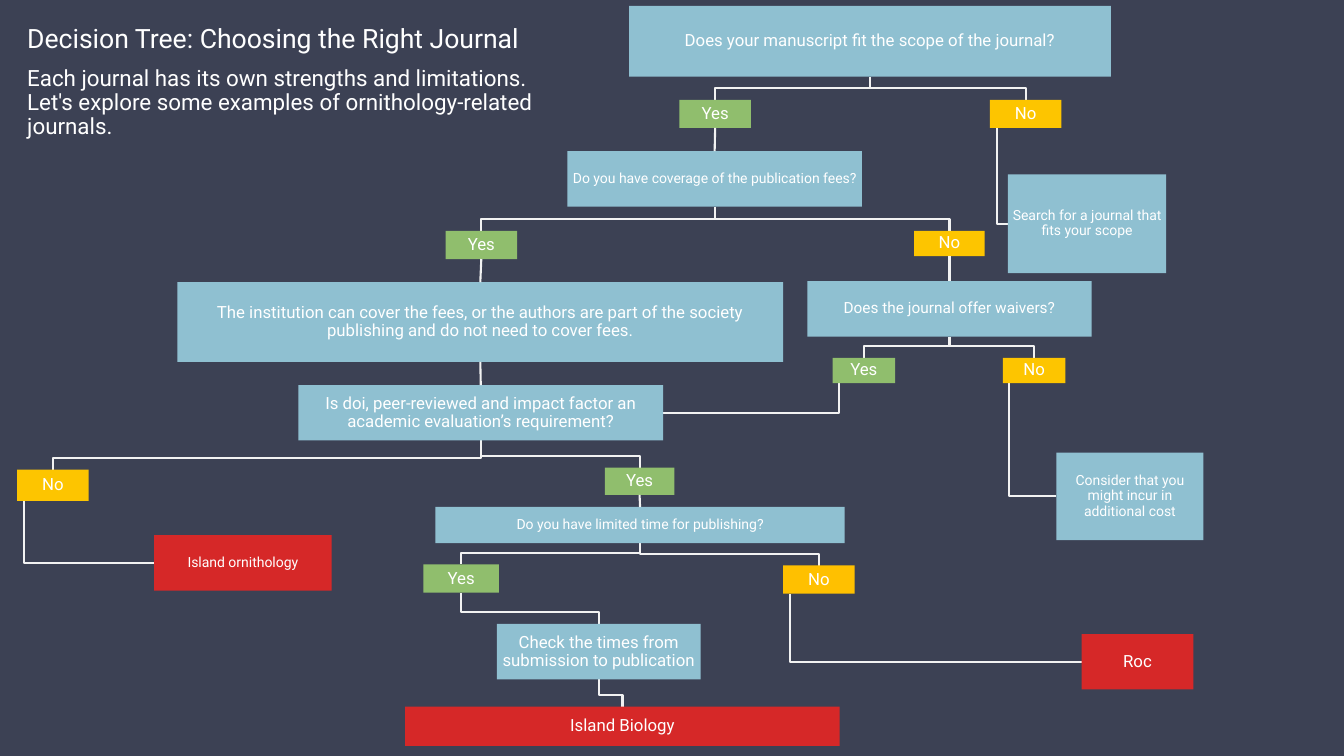
"""Build a decision tree slide for choosing an ornithology journal."""
from dataclasses import dataclass

import lxml.etree
import pptx
import pptx.dml.color
import pptx.enum.shapes
import pptx.enum.text
import pptx.oxml.ns
import pptx.util

COLORS = {
    "background": "3C4154",
    "step": "8FC0D1",
    "yes": "90BE6D",
    "no": "FDC500",
    "late_no": "FFC000",
    "journal": "D62828",
    "link": "F2F2F2",
    "text": "FFFFFF",
}
FONT = "Roboto"
SLIDE_WIDTH = pptx.util.Emu(12192000)
SLIDE_HEIGHT = pptx.util.Emu(6858000)
COLUMNS, ROWS = 80, 45
BRANCH_GAP = 0.7
HOOK_SHARE = 0.1
BOTTOM, TOP = 2, 0


@dataclass(frozen=True)
class Node:
    """A box of the tree, placed in grid columns and rows."""
    text: str
    role: str
    left: float
    top: float
    width: float
    height: float
    size: int = 12

    @property
    def center(self) -> float:
        return self.left + self.width / 2

    @property
    def middle(self) -> float:
        return self.top + self.height / 2

    @property
    def right(self) -> float:
        return self.left + self.width

    @property
    def bottom(self) -> float:
        return self.top + self.height


NODES = {
    "scope": Node("Does your manuscript fit the scope of the journal?",
                  "step", 37.44, 0.36, 28.68, 4.2),
    "scope_yes": Node("Yes", "yes", 40.44, 5.94, 4.26, 1.68),
    "scope_no": Node("No", "no", 58.92, 5.94, 4.26, 1.68),
    "search": Node("Search for a journal that fits your scope",
                   "step", 60, 10.38, 9.42, 5.88, 10),
    "fees": Node("Do you have coverage of the publication fees?",
                 "step", 33.78, 9, 17.52, 3.3, 10),
    "fees_yes": Node("Yes", "yes", 26.52, 13.74, 4.26, 1.68),
    "fees_no": Node("No", "no", 54.42, 13.74, 4.2, 1.5),
    "covered": Node("The institution can cover the fees, or the authors are part of the society "
                    "publishing and do not need to cover fees.",
                    "step", 10.56, 16.8, 36.06, 4.74),
    "waivers": Node("Does the journal offer waivers?", "step", 48.06, 16.74, 16.92, 3.3, 11),
    "waivers_yes": Node("Yes", "yes", 49.56, 21.3, 3.72, 1.5),
    "waivers_no": Node("No", "no", 59.7, 21.3, 3.72, 1.5),
    "cost": Node("Consider that you might incur in additional cost",
                 "step", 62.88, 26.94, 8.76, 5.22, 10),
    "evaluation": Node("Is doi, peer-reviewed and impact factor an academic evaluation’s requirement?",
                       "step", 17.76, 22.92, 21.72, 3.3),
    "evaluation_no": Node("No", "no", 1.02, 27.96, 4.26, 1.86),
    "evaluation_yes": Node("Yes", "yes", 36, 27.84, 4.14, 1.62),
    "seabirds": Node("Island ornithology", "journal", 9.18, 31.86, 10.56, 3.3, 10),
    "time": Node("Do you have limited time for publishing?",
                 "step", 25.92, 30.18, 24.36, 2.16, 10),
    "time_yes": Node("Yes", "yes", 25.2, 33.6, 4.5, 1.68),
    "time_no": Node("No", "late_no", 46.62, 33.66, 4.26, 1.68),
    "check": Node("Check the times from submission to publication",
                  "step", 29.58, 37.14, 12.12, 3.3),
    "slow": Node("Roc", "journal", 64.38, 37.74, 6.66, 3.3),
    "fast": Node("Island Biology", "journal", 24.12, 42.06, 25.86, 2.34),
}
BRANCHES = [
    ("scope", "scope_yes"), ("scope", "scope_no"),
    ("fees", "fees_yes"), ("fees", "fees_no"),
    ("waivers", "waivers_yes"), ("waivers", "waivers_no"),
    ("evaluation", "evaluation_no"), ("evaluation", "evaluation_yes"),
    ("time", "time_yes"), ("time", "time_no"),
    ("time_yes", "check"), ("check", "fast"),
]
HOOKS = [
    ("scope_no", "search"), ("waivers_no", "cost"), ("waivers_yes", "evaluation"),
    ("evaluation_no", "seabirds"), ("time_no", "slow"),
]
DROPS = [
    ("scope_yes", "fees"), ("fees_yes", "covered"), ("fees_no", "waivers"),
    ("covered", "evaluation"), ("evaluation_yes", "time"),
]


def across(columns: float) -> int:
    return round(SLIDE_WIDTH * columns / COLUMNS)


def down(rows: float) -> int:
    return round(SLIDE_HEIGHT * rows / ROWS)


def color(role: str) -> pptx.dml.color.RGBColor:
    return pptx.dml.color.RGBColor.from_string(COLORS[role])


def style_paragraph(paragraph, size: int, alignment) -> None:
    paragraph.alignment = alignment
    paragraph.line_spacing = 0.9
    paragraph.space_before = pptx.util.Pt(0)
    paragraph.font.size = pptx.util.Pt(size)
    paragraph.font.name = FONT
    paragraph.font.color.rgb = color("text")


def style_link(link) -> None:
    link.line.color.rgb = color("link")
    link.line.width = pptx.util.Pt(1.5)


def fill_placeholder(placeholder, text: str, size: int, top: float, height: float) -> None:
    placeholder.left, placeholder.top = across(1.02), down(top)
    placeholder.width, placeholder.height = across(31.62), down(height)
    frame = placeholder.text_frame
    frame.text = text
    frame.word_wrap = True
    frame.auto_size = pptx.enum.text.MSO_AUTO_SIZE.NONE
    frame.vertical_anchor = pptx.enum.text.MSO_ANCHOR.TOP
    paragraph = frame.paragraphs[0]
    properties = paragraph._p.get_or_add_pPr()
    properties.set("marL", "0")
    properties.set("indent", "0")
    lxml.etree.SubElement(properties, pptx.oxml.ns.qn("a:buNone"))
    style_paragraph(paragraph, size, pptx.enum.text.PP_ALIGN.LEFT)


def draw_node(slide, node: Node):
    box = slide.shapes.add_shape(
        pptx.enum.shapes.MSO_SHAPE.RECTANGLE,
        across(node.left), down(node.top), across(node.width), down(node.height))
    box.shadow.inherit = False
    box.fill.solid()
    box.fill.fore_color.rgb = color(node.role)
    box.line.fill.background()
    frame = box.text_frame
    frame.text = node.text
    frame.word_wrap = True
    frame.vertical_anchor = pptx.enum.text.MSO_ANCHOR.MIDDLE
    frame.margin_left = frame.margin_right = pptx.util.Inches(0.01)
    frame.margin_top = frame.margin_bottom = pptx.util.Inches(0.01)
    style_paragraph(frame.paragraphs[0], node.size, pptx.enum.text.PP_ALIGN.CENTER)
    return box


def draw_bend(slide, points: list[tuple[float, float]]) -> None:
    start, *rest = [(across(x), down(y)) for x, y in points]
    builder = slide.shapes.build_freeform(*start)
    builder.add_line_segments(rest, close=False)
    bend = builder.convert_to_shape()
    bend.shadow.inherit = False
    bend.fill.background()
    style_link(bend)


def draw_branch(slide, parent: Node, child: Node) -> None:
    turn = child.top - BRANCH_GAP
    draw_bend(slide, [(parent.center, parent.bottom), (parent.center, turn),
                      (child.center, turn), (child.center, child.top)])


def draw_hook(slide, answer: Node, target: Node) -> None:
    start = answer.left + HOOK_SHARE * answer.width
    side = target.left if target.left > start else target.right
    draw_bend(slide, [(start, answer.bottom), (start, target.middle), (side, target.middle)])


def draw_drop(slide, upper, lower) -> None:
    link = slide.shapes.add_connector(pptx.enum.shapes.MSO_CONNECTOR.STRAIGHT, 0, 0, 0, 0)
    link.begin_connect(upper, BOTTOM)
    link.end_connect(lower, TOP)
    style_link(link)
    lxml.etree.SubElement(link._element.spPr, pptx.oxml.ns.qn("a:effectLst"))


def main() -> None:
    deck = pptx.Presentation()
    deck.slide_width, deck.slide_height = SLIDE_WIDTH, SLIDE_HEIGHT
    slide = deck.slides.add_slide(deck.slide_layouts[1])
    slide.background.fill.solid()
    slide.background.fill.fore_color.rgb = color("background")
    fill_placeholder(slide.shapes.title, "Decision Tree: Choosing the Right Journal", 19, 1.2, 2.5)
    fill_placeholder(slide.placeholders[1],
                     "Each journal has its own strengths and limitations. Let's explore some "
                     "examples of ornithology-related journals.", 16, 3.7, 10.6)
    for parent, child in BRANCHES:
        draw_branch(slide, NODES[parent], NODES[child])
    for answer, target in HOOKS:
        draw_hook(slide, NODES[answer], NODES[target])
    boxes = {key: draw_node(slide, node) for key, node in NODES.items()}
    for upper, lower in DROPS:
        draw_drop(slide, boxes[upper], boxes[lower])
    deck.save("out.pptx")


if __name__ == "__main__":
    main()
